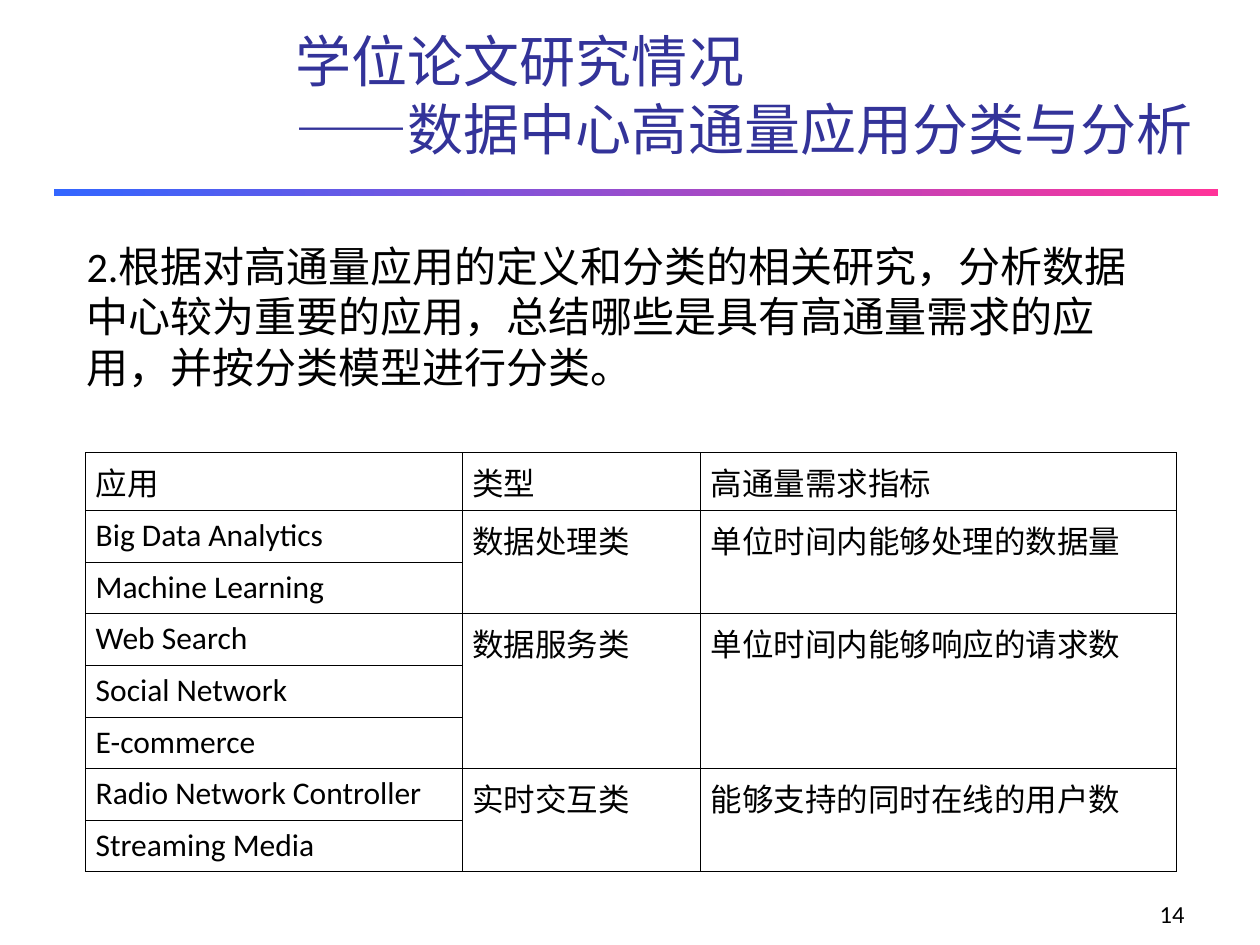
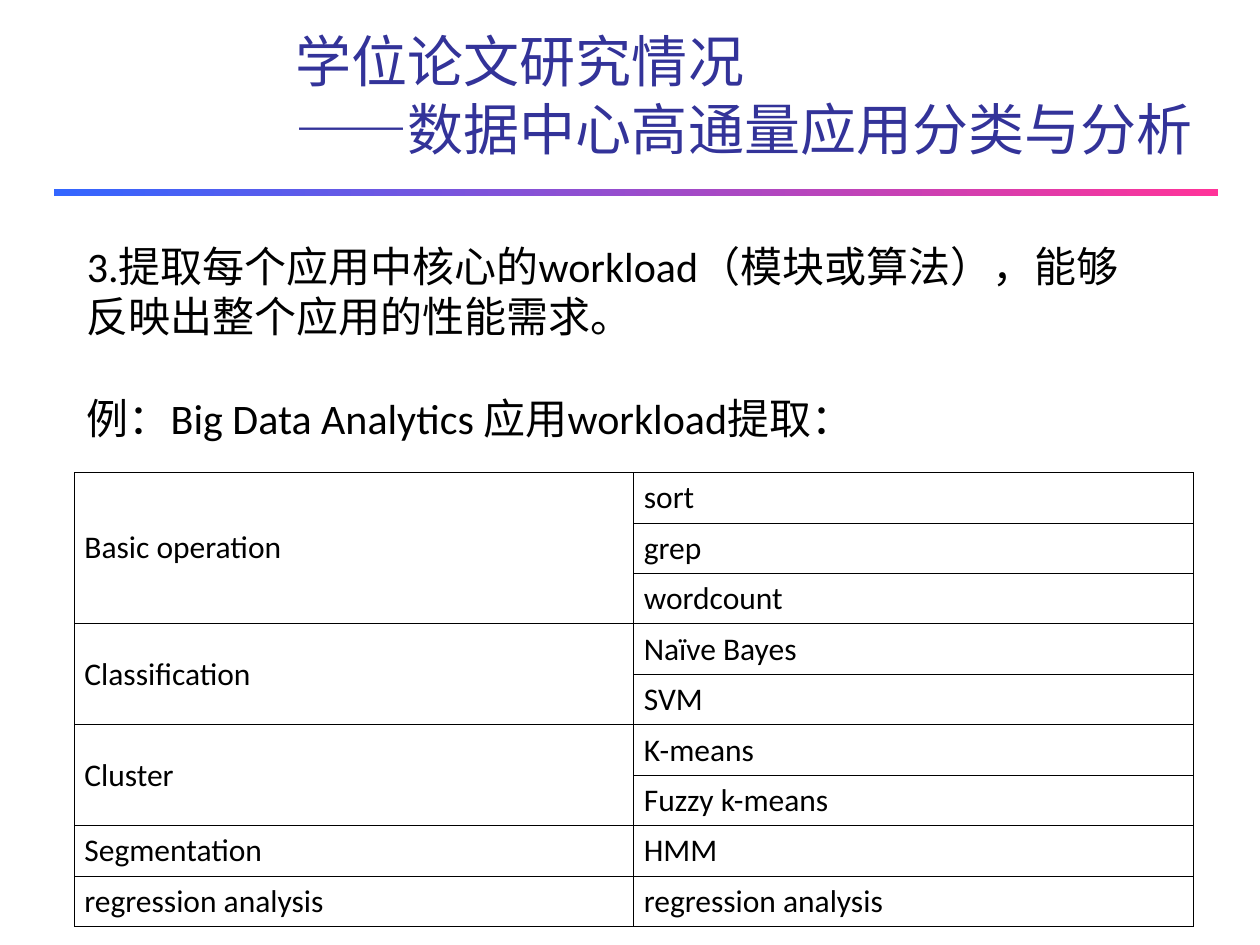
from dataclasses import dataclass

from lxml import etree
from pptx import Presentation
from pptx.dml.color import RGBColor
from pptx.enum import shapes, text
from pptx.oxml import ns
from pptx.util import Inches, Pt


@dataclass(frozen=True)
class Theme:
    font: str = "Calibri"
    ink: str = "000000"
    paper: str = "FFFFFF"
    title: str = "333399"
    rule_start: str = "3366FF"
    rule_end: str = "FF3399"
    title_size: int = 32
    body_size: int = 24
    table_size: int = 18
    number_size: int = 14
    border_width: float = 0.45


THEME = Theme()
TITLE = "学位论文研究情况\v——数据中心高通量应用分类与分析"

# None continues the cell above it
APPLICATIONS = [
    ["应用", "类型", "高通量需求指标"],
    ["Big Data Analytics", "数据处理类", "单位时间内能够处理的数据量"],
    ["Machine Learning", None, None],
    ["Web Search", "数据服务类", "单位时间内能够响应的请求数"],
    ["Social Network", None, None],
    ["E-commerce", None, None],
    ["Radio Network Controller", "实时交互类", "能够支持的同时在线的用户数"],
    ["Streaming Media", None, None],
]
WORKLOADS = [
    ["Basic operation", "sort"],
    [None, "grep"],
    [None, "wordcount"],
    ["Classification", "Naïve Bayes"],
    [None, "SVM"],
    ["Cluster", "K-means"],
    [None, "Fuzzy k-means"],
    ["Segmentation", "HMM"],
    ["regression analysis", "regression analysis"],
]


def style(paragraph, size, color=THEME.ink, align=text.PP_ALIGN.LEFT):
    paragraph.alignment = align
    paragraph.font.name = THEME.font
    paragraph.font.size = Pt(size)
    paragraph.font.color.rgb = RGBColor.from_string(color)


def add_text(slide, place, paragraphs, size, color=THEME.ink,
             align=text.PP_ALIGN.LEFT, anchor=text.MSO_ANCHOR.TOP, gap=0):
    frame = slide.shapes.add_textbox(*map(Inches, place)).text_frame
    frame.word_wrap = True
    frame.vertical_anchor = anchor
    for index, words in enumerate(paragraphs):
        paragraph = frame.add_paragraph() if index else frame.paragraphs[0]
        paragraph.text = words
        style(paragraph, size, color, align)
        if index:
            paragraph.space_before = Pt(gap)
    return frame


def add_body(slide, place, paragraphs, gap=0):
    frame = add_text(slide, place, paragraphs, THEME.body_size, gap=gap)
    frame.auto_size = text.MSO_AUTO_SIZE.SHAPE_TO_FIT_TEXT
    # Keep punctuation inside the text area
    for paragraph in frame.paragraphs:
        paragraph._p.get_or_add_pPr().set("hangingPunct", "0")


def add_number(slide, number):
    add_text(slide, (7.42, 6.92, 2.08, 0.5), [str(number)], THEME.number_size,
             align=text.PP_ALIGN.RIGHT, anchor=text.MSO_ANCHOR.BOTTOM)


def add_rule(slide):
    rule = slide.shapes.add_shape(shapes.MSO_SHAPE.RECTANGLE,
                                  *map(Inches, (0.43, 1.5, 9.24, 0.06)))
    rule.shadow.inherit = False
    rule.line.fill.background()
    rule.fill.gradient()
    rule.fill.gradient_angle = 0
    for stop, color in zip(rule.fill.gradient_stops,
                           (THEME.rule_start, THEME.rule_end)):
        stop.color.rgb = RGBColor.from_string(color)


def add_borders(cell):
    properties = cell._tc.get_or_add_tcPr()
    for side in ("a:lnL", "a:lnR", "a:lnT", "a:lnB"):
        line = etree.SubElement(properties, ns.qn(side),
                                w=str(Pt(THEME.border_width)))
        fill = etree.SubElement(line, ns.qn("a:solidFill"))
        etree.SubElement(fill, ns.qn("a:srgbClr"), val=THEME.ink)


def fill_cell(cell, words, anchor):
    add_borders(cell)
    cell.fill.solid()
    cell.fill.fore_color.rgb = RGBColor.from_string(THEME.paper)
    cell.margin_left = cell.margin_right = Inches(0.08)
    cell.margin_top = cell.margin_bottom = Inches(0.05)
    cell.vertical_anchor = anchor
    paragraph = cell.text_frame.paragraphs[0]
    paragraph.text = words or ""
    style(paragraph, THEME.table_size, align=text.PP_ALIGN.JUSTIFY)


def add_grid(slide, left, top, widths, heights, rows, anchor):
    grid = slide.shapes.add_table(
        len(rows), len(widths), Inches(left), Inches(top),
        Inches(sum(widths)), Inches(sum(heights))).table
    grid.first_row = grid.horz_banding = False
    for column, width in zip(grid.columns, widths):
        column.width = Inches(width)
    for row, height in zip(grid.rows, heights):
        row.height = Inches(height)
    for c in range(len(widths)):
        for r, row in enumerate(rows):
            fill_cell(grid.cell(r, c), row[c], anchor)
        # Merge each entry with the continuation cells below it
        starts = [r for r, row in enumerate(rows) if row[c] is not None]
        for first, following in zip(starts, starts[1:] + [len(rows)]):
            if following - first > 1:
                grid.cell(first, c).merge(grid.cell(following - 1, c))


def add_page(deck):
    slide = deck.slides.add_slide(deck.slide_layouts[6])
    slide.background.fill.solid()
    slide.background.fill.fore_color.rgb = RGBColor.from_string(THEME.paper)
    add_rule(slide)
    add_text(slide, (2.25, 0.08, 7.53, 1.25), [TITLE], THEME.title_size,
             THEME.title, anchor=text.MSO_ANCHOR.BOTTOM)
    return slide


def main():
    deck = Presentation()
    deck.slide_width, deck.slide_height = Inches(10), Inches(7.5)

    # Classification of applications
    classification = add_page(deck)
    add_number(classification, 14)
    add_grid(classification, 0.68, 3.59, [2.99, 1.89, 3.78],
             [0.46] + [0.41] * 7, APPLICATIONS, text.MSO_ANCHOR.TOP)
    add_body(classification, (0.59, 1.86, 8.74, 1.3), [
        "2.根据对高通量应用的定义和分类的相关研究，分析数据中心较为重要的应用，"
        "总结哪些是具有高通量需求的应用，并按分类模型进行分类。"])

    # Extraction of workloads
    extraction = add_page(deck)
    add_body(extraction, (0.59, 1.86, 8.51, 1.7), [
        "3.提取每个应用中核心的workload（模块或算法），能够反映出整个应用的性能需求。",
        "例：Big Data Analytics 应用workload提取："], gap=29)
    add_grid(extraction, 0.59, 3.75, [4.44] * 2, [0.3] * len(WORKLOADS),
             WORKLOADS, text.MSO_ANCHOR.MIDDLE)

    deck.save("out.pptx")


if __name__ == "__main__":
    main()
